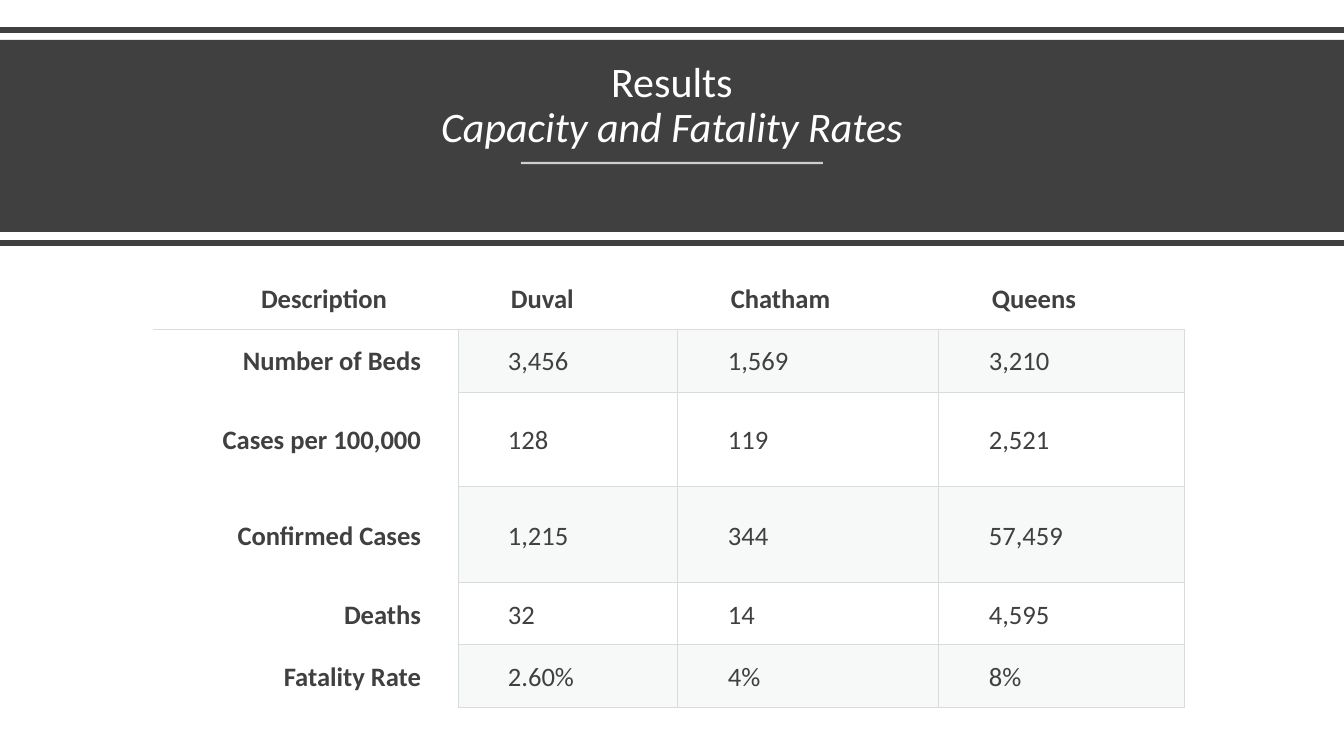
from pptx import Presentation
from pptx.dml.color import RGBColor
from pptx.enum.shapes import MSO_CONNECTOR, MSO_SHAPE
from pptx.enum.text import MSO_ANCHOR, PP_ALIGN
from pptx.oxml.ns import qn
from pptx.util import Pt
from lxml.etree import SubElement

PX = 914400 / 100.8
theme = dict(font="Calibri", dark="404040", white="FFFFFF", grid="D8DCDC",
             tint="D8DEDC", title=30, body=19)


def write(para, text, size=theme["body"], color=theme["dark"], bold=False,
          italic=False, align=PP_ALIGN.LEFT, space=1.07, indent=0):
    para.alignment, para.line_spacing = align, space
    if indent:
        para._p.get_or_add_pPr().set("indent", str(round(indent * PX)))
    run = para.add_run()
    run.text = text
    font = run.font
    font.name, font.size, font.bold, font.italic = theme["font"], Pt(size), bold, italic
    font.color.rgb = RGBColor.from_string(color)


def fade(fill, percent):
    SubElement(fill.find(qn("a:srgbClr")), qn("a:alpha"), val=str(percent * 1000))


deck = Presentation()
deck.slide_width, deck.slide_height = round(1344 * PX), round(756 * PX)
slide = deck.slides.add_slide(deck.slide_layouts[6])
shapes = slide.shapes

# Title band
band = shapes.add_shape(MSO_SHAPE.RECTANGLE, 0, round(40 * PX),
                        deck.slide_width, round(192 * PX))
band.shadow.inherit = False
band.fill.solid()
band.fill.fore_color.rgb = RGBColor.from_string(theme["dark"])
band.line.fill.background()

# Rules around the band and under the title
for left, right, y, color, width, alpha in [
        (0, 1344, 30, theme["dark"], 4, 100),
        (0, 1344, 243, theme["dark"], 4, 100),
        (521, 823, 163, theme["white"], 1.5, 75)]:
    rule = shapes.add_connector(MSO_CONNECTOR.STRAIGHT, round(left * PX),
                                round(y * PX), round(right * PX), round(y * PX))
    rule.line.width = Pt(width)
    rule.line.color.rgb = RGBColor.from_string(color)
    props = rule._element.spPr
    SubElement(props, qn("a:effectLst"))
    if alpha < 100:
        fade(props.find(qn("a:ln")).find(qn("a:solidFill")), alpha)

# Title
box = shapes.add_textbox(*[round(n * PX) for n in (58, 54, 1228, 103)])
frame = box.text_frame
frame.word_wrap = True
frame.vertical_anchor = MSO_ANCHOR.BOTTOM
head = dict(size=theme["title"], color=theme["white"],
            align=PP_ALIGN.CENTER, space=0.9)
para = frame.paragraphs[0]
write(para, "Results", **head)
para.add_line_break()
write(para, "Capacity and Fatality Rates", italic=True, **head)

# Table
data = [
    ["Description", "Duval", "Chatham", "Queens"],
    ["Number of Beds", "3,456", "1,569", "3,210"],
    ["Cases per 100,000", "128", "119", "2,521"],
    ["Confirmed Cases", "1,215", "344", "57,459"],
    ["Deaths", "32", "14", "4,595"],
    ["Fatality Rate", "2.60%", "4%", "8%"],
]
widths = [305, 220, 261, 246]
heights = [62, 63, 95, 96, 62, 63]
table = shapes.add_table(len(heights), len(widths), round(153 * PX), round(267 * PX),
                         round(sum(widths) * PX), round(sum(heights) * PX)).table
table.first_row = table.horz_banding = False
for col, width in zip(table.columns, widths):
    col.width = round(width * PX)
for row, height in zip(table.rows, heights):
    row.height = round(height * PX)

for r, line in enumerate(data):
    for c, text in enumerate(line):
        cell = table.cell(r, c)
        top, label = r == 0, c == 0
        cell.vertical_anchor = MSO_ANCHOR.MIDDLE
        cell.margin_left = round(25 * PX)
        cell.margin_top = cell.margin_bottom = round(12 * PX)
        right = (71 if top else 37) if label else 9
        cell.margin_right = round(right * PX)
        write(cell.text_frame.paragraphs[0], text, bold=top or label,
              align=PP_ALIGN.RIGHT if label else PP_ALIGN.LEFT,
              indent=0 if label else 28 if top else 25)

        # Borders: header underline, label edge, full grid for values
        sides = "B" if top else "R" if label else "LRTB"
        if r == 1 and label:
            sides = "RT"
        props = cell._tc.get_or_add_tcPr()
        for side in "LRTB":
            edge = SubElement(props, qn("a:ln" + side), w=str(Pt(0.75)))
            if side in sides:
                ink = SubElement(edge, qn("a:solidFill"))
                SubElement(ink, qn("a:srgbClr"), val=theme["grid"])
            else:
                SubElement(edge, qn("a:noFill"))

        # Tint on every other row of values
        if r % 2 and not label:
            cell.fill.solid()
            cell.fill.fore_color.rgb = RGBColor.from_string(theme["tint"])
            fade(props.find(qn("a:solidFill")), 20)
        else:
            cell.fill.background()

deck.save("out.pptx")
